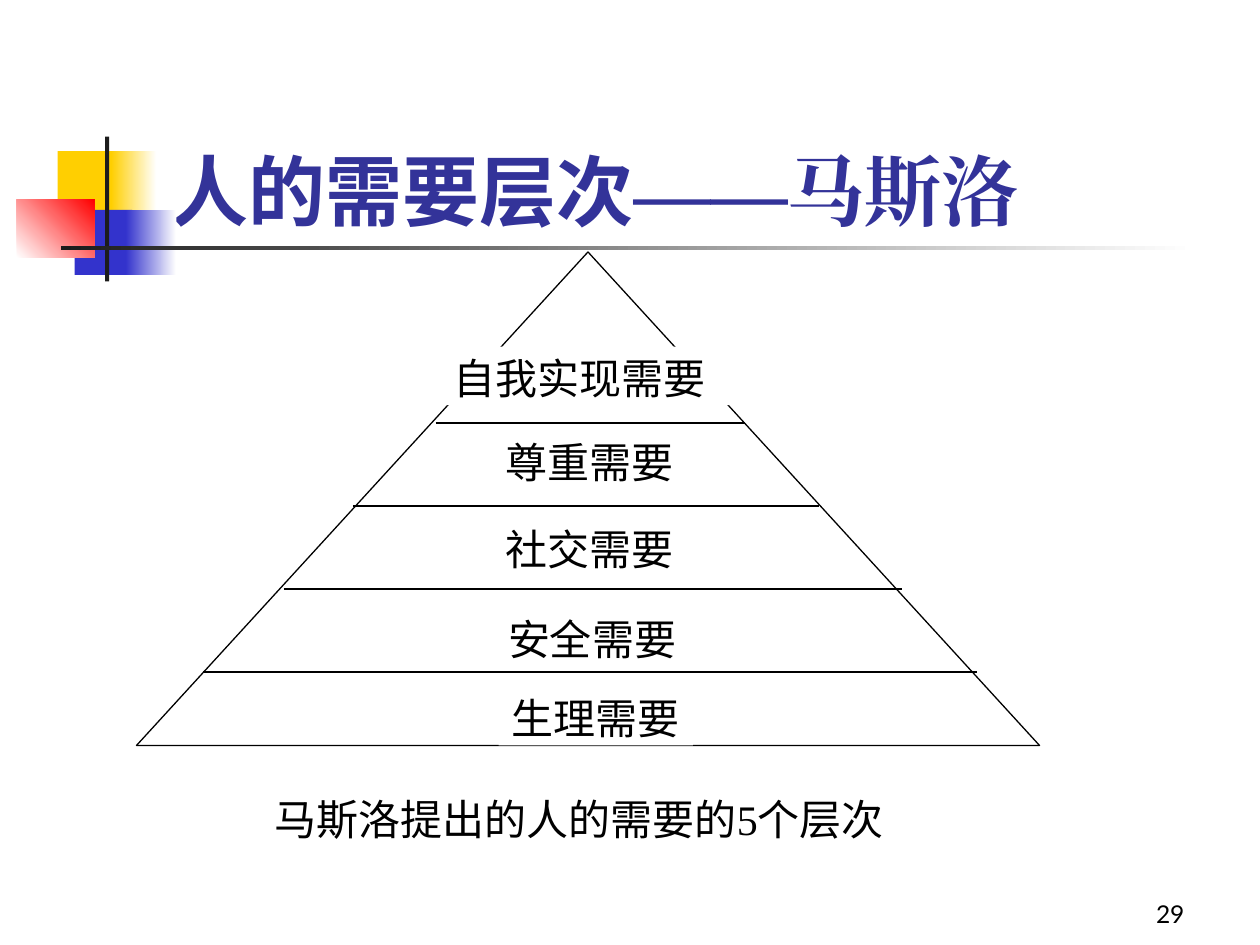
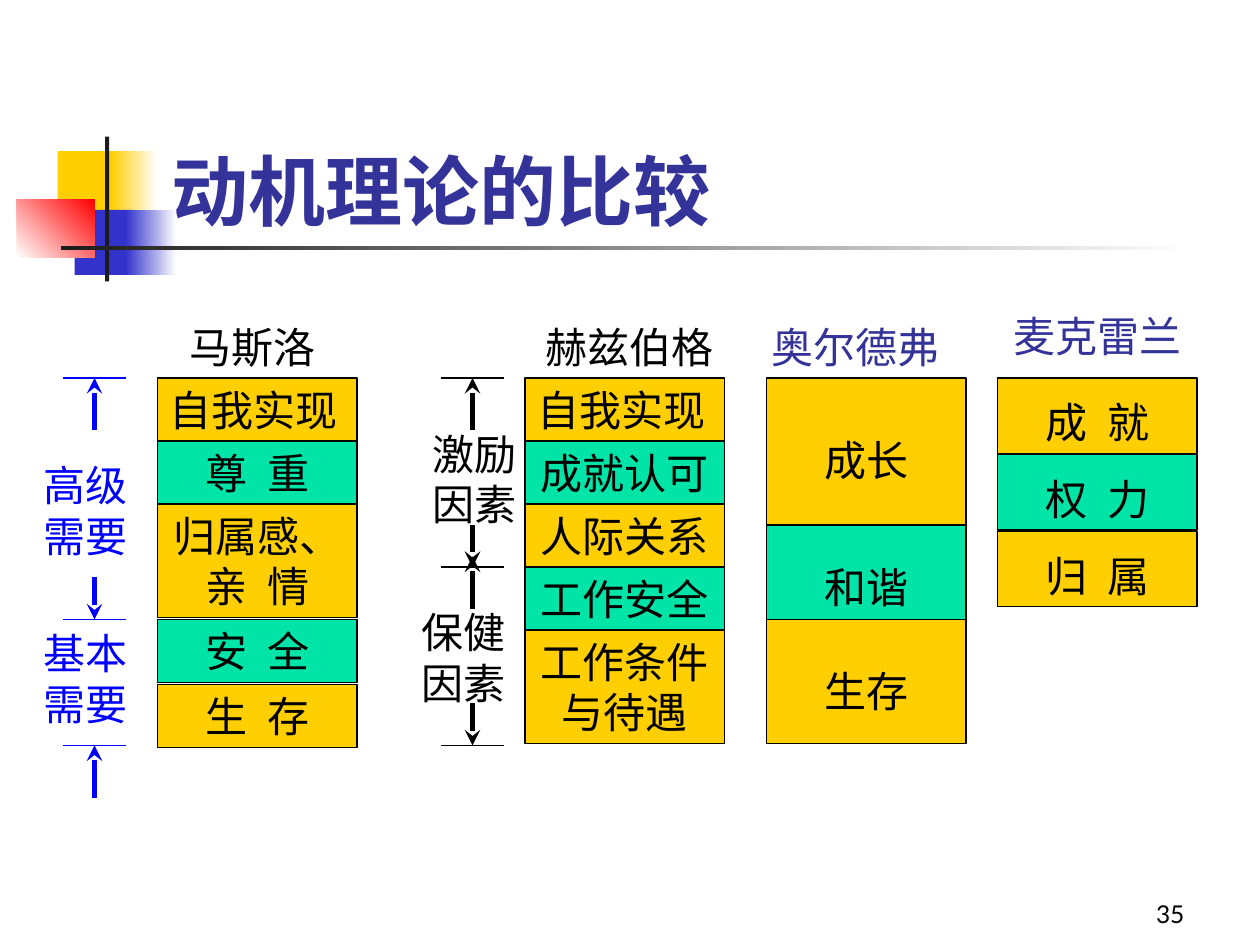
from dataclasses import dataclass

from lxml.etree import SubElement
from pptx import Presentation
from pptx.dml.color import RGBColor
from pptx.enum.shapes import MSO_CONNECTOR, MSO_SHAPE
from pptx.enum.text import MSO_ANCHOR, MSO_AUTO_SIZE, PP_ALIGN
from pptx.oxml.ns import qn
from pptx.util import Inches, Length, Pt

WIDE, HIGH = Inches(10), Inches(7.5)
COLS, ROWS = 120, 90

GOLD, MINT, WHITE = "FFCF01", "00E4A8", "FFFFFF"
BLACK, DARK, NAVY = "000000", "1C1C1C", "333399"
BLUE, DEEP, RED = "0000FF", "3333CC", "FF0000"
SERIF, SANS, HEAD = "Times New Roman", "Lato", "Montserrat"


@dataclass
class Area:
    """A place on the grid, in columns and rows."""
    col: float
    row: float
    cols: float
    rows: float

    def frame(self) -> tuple[Length, ...]:
        return (across(self.col), down(self.row),
                across(self.cols), down(self.rows))


@dataclass
class Badge:
    area: Area
    start: str
    end: str = ""
    angle: int = 0


@dataclass
class Style:
    size: int = 24
    font: str = SERIF
    color: str = BLACK
    align: PP_ALIGN = PP_ALIGN.LEFT
    space: float = 1
    anchor: MSO_ANCHOR = MSO_ANCHOR.TOP


@dataclass
class Box:
    text: str
    rows: float
    gap: float = 0
    space: float = 1
    align: PP_ALIGN = PP_ALIGN.CENTER


@dataclass
class Stack:
    """A theory: its heading and the boxes below it."""
    col: float
    name: str
    head: Area
    boxes: list[Box]
    font: str = SERIF
    color: str = BLACK


@dataclass
class Scale:
    """Ticks, arrows (from row, to row) and labels beside a stack."""
    col: float
    color: str
    ticks: list[float]
    arrows: list[tuple[float, float]]
    labels: list[tuple[str, float, float]]


BADGES = [
    Badge(Area(5.5, 14.4, 5.8, 6.2), GOLD),
    Badge(Area(10.6, 14.4, 4.3, 6.2), GOLD, WHITE),
    Badge(Area(7.1, 20, 5.5, 6.2), DEEP),
    Badge(Area(12, 20, 4.8, 6.2), DEEP, WHITE),
    Badge(Area(1.6, 19, 7.4, 5.5), WHITE, RED, 45),
    Badge(Area(10, 13, 0.4, 13.8), DARK),
    Badge(Area(5.8, 23.4, 108, 0.4), DARK, WHITE),
]

LEVELS = [
    ("社交需要", Area(47, 49.3, 25.8, 5.6)),
    ("安全需要", Area(47.2, 57.8, 19.8, 5.6)),
    ("生理需要", Area(47.5, 65.4, 18.5, 5.6)),
    ("尊重需要", Area(47, 41, 18.5, 5.6)),
    ("自我实现需要", Area(42, 33, 28, 5.6)),
]
RULES = [(41.5, 71), (33.6, 78), (27, 85.9), (19.3, 93)]

STACKS = [
    Stack(15, "马斯洛", Area(16, 30, 16, 6), [
        Box("自我实现", 6, align=PP_ALIGN.LEFT),
        Box("尊 重", 6),
        Box("归属感、亲 情", 10.8, 0.2),
        Box("安 全", 6, 0.2),
        Box("生 存", 6),
    ]),
    Stack(50, "赫兹伯格", Area(50, 30, 20, 6), [
        Box("自我实现", 6, align=PP_ALIGN.LEFT),
        Box("成就认可", 6),
        Box("人际关系", 6),
        Box("工作安全", 6),
        Box("工作条件与待遇", 10.8),
    ]),
    Stack(73, "奥尔德弗", Area(72, 30, 19, 6), [
        Box("成长", 14, space=2),
        Box("和谐", 9, space=1.6),
        Box("生存", 11.8, space=1.8),
    ], HEAD, NAVY),
    Stack(95, "麦克雷兰", Area(95, 29, 19, 6), [
        Box(text, 7.2, 0.1, 1.25) for text in ("成 就", "权 力", "归 属")
    ], HEAD, NAVY),
]

SCALES = [
    Scale(9, BLUE, [36, 59, 71], [(41, 36), (76, 71), (55, 59)],
          [("高级需要", 3, 43.2), ("基本需要", 3, 59.2)]),
    Scale(45, BLACK, [36, 54, 71],
          [(41, 36), (50, 54), (58, 53), (67, 71)],
          [("激励因素", 40, 40.2), ("保健因素", 39, 57.2)]),
]


def across(cols: float) -> Length:
    return Length(round(WIDE * cols / COLS))


def down(rows: float) -> Length:
    return Length(round(HIGH * rows / ROWS))


def tint(value: str) -> RGBColor:
    return RGBColor.from_string(value)


def add_shape(slide, kind: MSO_SHAPE, area: Area, fill: str, line: str = ""):
    shape = slide.shapes.add_shape(kind, *area.frame())
    shape.shadow.inherit = False
    shape.fill.solid()
    shape.fill.fore_color.rgb = tint(fill)
    if line:
        shape.line.color.rgb = tint(line)
        shape.line.width = Pt(0.75)
    else:
        shape.line.fill.background()
    return shape


def write(shape, text: str, style: Style) -> None:
    """Fill a shape with one paragraph; a space inside it is one half em."""
    frame = shape.text_frame
    frame.word_wrap = True
    frame.auto_size = MSO_AUTO_SIZE.NONE
    frame.vertical_anchor = style.anchor
    para = frame.paragraphs[0]
    first, *rest = [part for part in text.partition(" ") if part]
    para.text = first
    for part in rest:
        para.add_run().text = part
    para.alignment = style.align
    para.line_spacing = style.space
    for run in para.runs:
        run.font.size = Pt(style.size)
        run.font.name = style.font
        run.font.color.rgb = tint(style.color)
        if run.text == " ":
            run._r.get_or_add_rPr().set("spc", "600")


def add_text(slide, area: Area, text: str, style: Style) -> None:
    write(slide.shapes.add_textbox(*area.frame()), text, style)


def add_line(slide, start: tuple[float, float], end: tuple[float, float],
             color: str, arrow: bool = False) -> None:
    line = slide.shapes.add_connector(
        MSO_CONNECTOR.STRAIGHT, across(start[0]), down(start[1]),
        across(end[0]), down(end[1]))
    line.line.color.rgb = tint(color)
    line.line.width = Pt(3 if arrow else 0.75)
    if arrow:
        SubElement(line.line._get_or_add_ln(), qn("a:tailEnd"), type="stealth")
    SubElement(line._element.spPr, qn("a:effectLst"))


def add_badge(slide, badge: Badge) -> None:
    shape = add_shape(slide, MSO_SHAPE.RECTANGLE, badge.area, badge.start)
    if badge.end:
        shape.fill.gradient()
        shape.fill.gradient_angle = badge.angle
        for stop, color in zip(shape.fill.gradient_stops,
                               (badge.start, badge.end)):
            stop.color.rgb = tint(color)


def add_slide(deck, parts: list[str], top: float, page: str):
    """Start a slide with its badges, page number and title."""
    slide = deck.slides.add_slide(deck.slide_layouts[5])
    for badge in BADGES:
        add_badge(slide, badge)
    add_text(slide, Area(89, 83, 25, 6), page,
             Style(14, SANS, align=PP_ALIGN.RIGHT, anchor=MSO_ANCHOR.BOTTOM))
    title = slide.shapes.title
    area = Area(15.1, top, 102.2, 23.1 - top)
    title.left, title.top, title.width, title.height = area.frame()
    write(title, parts[0],
          Style(44, SANS, NAVY, anchor=MSO_ANCHOR.BOTTOM))
    para = title.text_frame.paragraphs[0]
    for part in parts[1:]:
        para.add_run().text = part
    for run in para.runs:
        font = run.font
        font.size, font.bold = Pt(44), True
        font.color.rgb = tint(NAVY)
        font.name = SANS
        if run.text == "——":
            font.name = SERIF
            SubElement(run._r.get_or_add_rPr(), qn("a:ea"), typeface=SERIF)
    return slide


def add_needs(deck) -> None:
    slide = add_slide(deck, ["人的需要层次", "——", "马斯洛"], 12.1, "29")
    add_shape(slide, MSO_SHAPE.ISOSCELES_TRIANGLE, Area(13, 24, 86, 47),
              WHITE, BLACK)
    for i, (left, right) in enumerate(RULES):
        row = 40.3 + 7.9 * i
        add_line(slide, (left, row), (right, row), BLACK)
    for text, area in LEVELS:
        level = add_shape(slide, MSO_SHAPE.RECTANGLE, area, WHITE)
        write(level, text, Style(align=PP_ALIGN.JUSTIFY))
    add_text(slide, Area(25, 75, 62, 10.8), "马斯洛提出的人的需要的5个层次",
             Style())


def add_stack(slide, stack: Stack) -> None:
    row = 36
    for i, box in enumerate(stack.boxes):
        shape = add_shape(slide, MSO_SHAPE.RECTANGLE,
                          Area(stack.col, row, 19, box.rows),
                          MINT if i % 2 else GOLD, BLACK)
        write(shape, box.text, Style(align=box.align, space=box.space))
        row += box.rows + box.gap
    add_text(slide, stack.head, stack.name,
             Style(24, stack.font, stack.color, PP_ALIGN.CENTER))


def add_scale(slide, scale: Scale) -> None:
    for text, col, row in scale.labels:
        add_text(slide, Area(col, row, 11, 10.8), text,
                 Style(color=scale.color))
    for row in scale.ticks:
        add_line(slide, (scale.col + 3, row), (scale.col - 3, row),
                 scale.color)
    for start, end in scale.arrows:
        add_line(slide, (scale.col, start), (scale.col, end),
                 scale.color, arrow=True)


def main() -> None:
    deck = Presentation()
    deck.slide_width, deck.slide_height = WIDE, HIGH
    add_needs(deck)
    slide = add_slide(deck, ["动机理论的比较"], 8, "35")
    for stack in STACKS:
        add_stack(slide, stack)
    for scale in SCALES:
        add_scale(slide, scale)
    deck.save("out.pptx")


if __name__ == "__main__":
    main()
